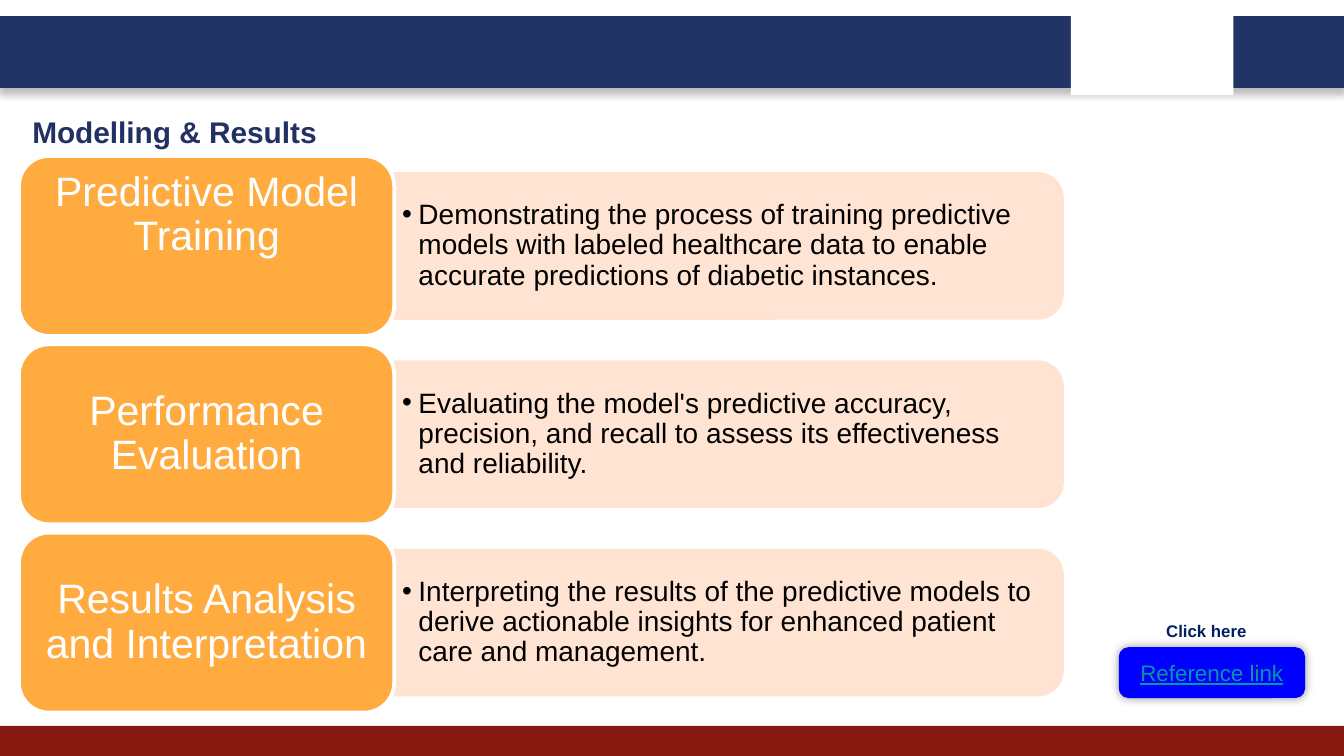
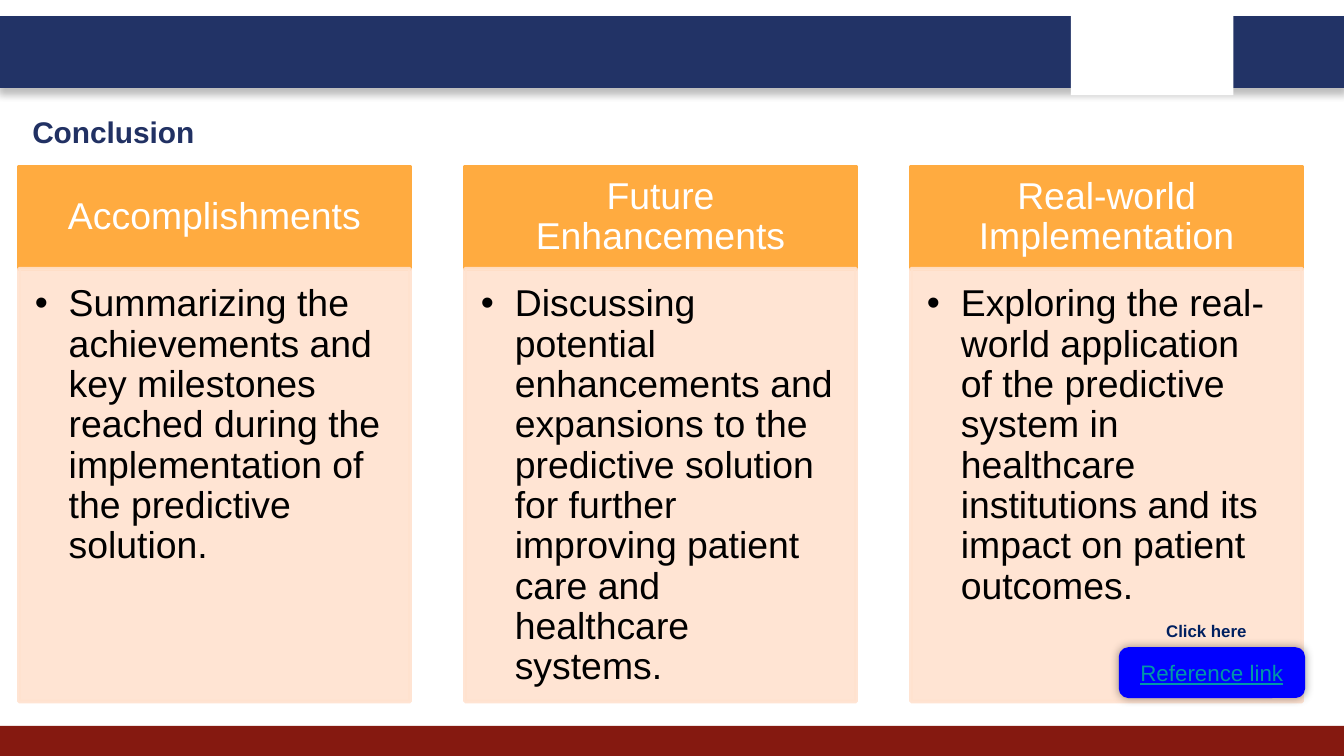
from dataclasses import dataclass

from lxml.etree import SubElement
from pptx import Presentation
from pptx.dml.color import RGBColor
from pptx.enum.shapes import MSO_SHAPE
from pptx.enum.text import MSO_ANCHOR, MSO_AUTO_SIZE, PP_ALIGN
from pptx.oxml.ns import qn
from pptx.util import Cm, Pt

FONT = "Arial"
WHITE = RGBColor(0xFF, 0xFF, 0xFF)
BLACK = RGBColor(0x00, 0x00, 0x00)
NAVY = RGBColor(0x22, 0x33, 0x66)
TITLE_NAVY = RGBColor(0x21, 0x31, 0x63)
HINT_NAVY = RGBColor(0x00, 0x20, 0x60)
MAROON = RGBColor(0x85, 0x19, 0x10)
ORANGE = RGBColor(0xFF, 0xAB, 0x40)
PEACH = RGBColor(0xFF, 0xE2, 0xCF)
BLUE = RGBColor(0x00, 0x00, 0xFF)
TEAL = RGBColor(0x00, 0x97, 0xA7)

SLIDE_WIDTH, SLIDE_HEIGHT = 25.4, 14.29
MARGIN = 0.36


@dataclass(frozen=True)
class Box:
    """Position and size in centimetres."""
    left: float
    top: float
    width: float
    height: float

    def lengths(self):
        return Cm(self.left), Cm(self.top), Cm(self.width), Cm(self.height)

    def turned(self):
        """Frame that fills this box after a quarter turn."""
        return Box(self.left + (self.width - self.height) / 2,
                   self.top + (self.height - self.width) / 2,
                   self.height, self.width)


@dataclass(frozen=True)
class Topic:
    heading: str
    detail: str
    heading_anchor: MSO_ANCHOR = MSO_ANCHOR.MIDDLE


@dataclass(frozen=True)
class Shadow:
    blur: float
    distance: float
    direction: int
    opacity: int


MODELLING = [
    Topic("Predictive Model Training",
          "Demonstrating the process of training predictive models with labeled "
          "healthcare data to enable accurate predictions of diabetic instances.",
          MSO_ANCHOR.TOP),
    Topic("Performance Evaluation",
          "Evaluating the model's predictive accuracy, precision, and recall to "
          "assess its effectiveness and reliability."),
    Topic("Results Analysis and Interpretation",
          "Interpreting the results of the predictive models to derive actionable "
          "insights for enhanced patient care and management."),
]
CONCLUSION = [
    Topic("Accomplishments",
          "Summarizing the achievements and key milestones reached during the "
          "implementation of the predictive solution."),
    Topic("Future Enhancements",
          "Discussing potential enhancements and expansions to the predictive "
          "solution for further improving patient care and healthcare systems."),
    Topic("Real-world Implementation",
          "Exploring the real-world application of the predictive system in "
          "healthcare institutions and its impact on patient outcomes."),
]


def write(shape, text: str, *, size: float, color: RGBColor, bold=False,
          underline=False, align=PP_ALIGN.LEFT, anchor=MSO_ANCHOR.TOP,
          insets=(0.25, 0.13, 0.25, 0.13), spacing=1.0, bullet_indent=0.0,
          wrap=True) -> None:
    frame = shape.text_frame
    frame.word_wrap = wrap
    frame.auto_size = MSO_AUTO_SIZE.NONE
    frame.vertical_anchor = anchor
    (frame.margin_left, frame.margin_top,
     frame.margin_right, frame.margin_bottom) = map(Cm, insets)
    paragraph = frame.paragraphs[0]
    paragraph.alignment = align
    paragraph.line_spacing = spacing
    run = paragraph.add_run()
    run.text = text
    font = run.font
    font.name, font.size, font.bold, font.underline = FONT, Pt(size), bold, underline
    font.color.rgb = color
    if bullet_indent:
        properties = paragraph._p.get_or_add_pPr()
        properties.set("marL", str(Cm(bullet_indent)))
        properties.set("indent", str(-Cm(bullet_indent)))
        bullet_color = SubElement(properties, qn("a:buClr"))
        SubElement(bullet_color, qn("a:srgbClr"), val=str(color))
        SubElement(properties, qn("a:buFont"), typeface=FONT)
        SubElement(properties, qn("a:buChar"), char="•")


def add_block(slide, kind: MSO_SHAPE, box: Box, fill: RGBColor,
              line: RGBColor | None = None, opacity: int = 100,
              shadow: Shadow | None = None):
    block = slide.shapes.add_shape(kind, *box.lengths())
    block.shadow.inherit = False
    block.fill.solid()
    block.fill.fore_color.rgb = fill
    if line is None:
        block.line.fill.background()
    else:
        block.line.color.rgb = line
        block.line.width = Pt(2)
    properties = block.element.spPr
    if opacity < 100:
        for tint in properties.iter(qn("a:srgbClr")):
            SubElement(tint, qn("a:alpha"), val=str(opacity * 1000))
    if shadow:
        outer = SubElement(properties.find(qn("a:effectLst")), qn("a:outerShdw"),
                           blurRad=str(Pt(shadow.blur)), dist=str(Pt(shadow.distance)),
                           dir=str(shadow.direction * 60000), algn="ctr", rotWithShape="0")
        shade = SubElement(outer, qn("a:srgbClr"), val=str(BLACK))
        SubElement(shade, qn("a:alpha"), val=str(shadow.opacity * 1000))
    return block


def add_bands_to_master(prs, slide) -> None:
    bands = [
        add_block(slide, MSO_SHAPE.RECTANGLE, Box(0, 0.33, SLIDE_WIDTH, 1.3),
                  NAVY, NAVY, shadow=Shadow(4, 3, 90, 25)),
        add_block(slide, MSO_SHAPE.RECTANGLE, Box(0, 13.72, SLIDE_WIDTH, 0.58), MAROON),
        add_block(slide, MSO_SHAPE.RECTANGLE, Box(20.24, 0.18, 3.07, 1.62), WHITE),
    ]
    tree = prs.slide_master.element.cSld.spTree
    for number, band in enumerate(bands):
        band.element.nvSpPr.cNvPr.set("id", str(100 + number))
        tree.insert(2 + number, band.element)


def add_titled_slide(prs, title: str):
    slide = prs.slides.add_slide(prs.slide_layouts[5])
    heading = slide.shapes.title
    heading.left, heading.top, heading.width, heading.height = Box(
        MARGIN, 1.9, 8.15, 0.89).lengths()
    write(heading, title, size=16, color=TITLE_NAVY, bold=True, insets=(0.25,) * 4)
    return slide


def add_reference_button(slide) -> None:
    button = add_block(slide, MSO_SHAPE.ROUNDED_RECTANGLE, Box(21.18, 12.27, 3.45, 0.89),
                       BLUE, BLUE, shadow=Shadow(5, 0, 0, 40))
    write(button, "Reference link", size=12, color=TEAL, underline=True,
          align=PP_ALIGN.CENTER, anchor=MSO_ANCHOR.MIDDLE)
    hint = slide.shapes.add_textbox(*Box(21.79, 11.61, 2.21, 0.64).lengths())
    write(hint, "Click here", size=9, color=HINT_NAVY, bold=True, wrap=False)


def add_topic_row(slide, topic: Topic, top: float) -> None:
    card_box = Box(MARGIN, top, 7.09, 3.4)
    panel_box = Box(MARGIN + card_box.width, top + 0.34, 12.62, 2.72)
    panel = add_block(slide, MSO_SHAPE.ROUND_2_SAME_RECTANGLE, panel_box.turned(),
                      PEACH, PEACH, opacity=90)
    panel.rotation = 90
    detail = slide.shapes.add_textbox(
        *Box(panel_box.left, top + 0.48, 12.47, 2.44).lengths())
    write(detail, topic.detail, size=15, color=BLACK, anchor=MSO_ANCHOR.MIDDLE,
          insets=(0.15, 0.08, 0.15, 0.08), spacing=0.9, bullet_indent=0.31)
    card = add_block(slide, MSO_SHAPE.ROUNDED_RECTANGLE, card_box, ORANGE, WHITE)
    write(card, topic.heading, size=22, color=WHITE, align=PP_ALIGN.CENTER,
          anchor=topic.heading_anchor, insets=(0.23, 0.12, 0.23, 0.12), spacing=0.9)


def add_topic_column(slide, topic: Topic, left: float) -> None:
    header = add_block(slide, MSO_SHAPE.RECTANGLE, Box(left, 3.15, 7.39, 1.93),
                       ORANGE, ORANGE)
    write(header, topic.heading, size=20, color=WHITE, align=PP_ALIGN.CENTER,
          anchor=MSO_ANCHOR.MIDDLE, insets=(0.4, 0.23, 0.4, 0.23), spacing=0.9)
    body = add_block(slide, MSO_SHAPE.RECTANGLE, Box(left, 5.08, 7.39, 8.18),
                     PEACH, PEACH, opacity=90)
    write(body, topic.detail, size=20, color=BLACK, insets=(0.3, 0.3, 0.4, 0.43),
          spacing=0.9, bullet_indent=0.64)


def main() -> None:
    prs = Presentation()
    prs.slide_width, prs.slide_height = Cm(SLIDE_WIDTH), Cm(SLIDE_HEIGHT)

    # Modelling: one row per topic
    modelling = add_titled_slide(prs, "Modelling & Results")
    add_bands_to_master(prs, modelling)
    for row, topic in enumerate(MODELLING):
        add_topic_row(modelling, topic, 2.95 + row * 3.56)
    add_reference_button(modelling)

    # Conclusion: one column per topic
    conclusion = add_titled_slide(prs, "Conclusion")
    for column, topic in enumerate(CONCLUSION):
        add_topic_column(conclusion, topic, MARGIN + column * 8.43)
    add_reference_button(conclusion)

    prs.save("out.pptx")


if __name__ == "__main__":
    main()
